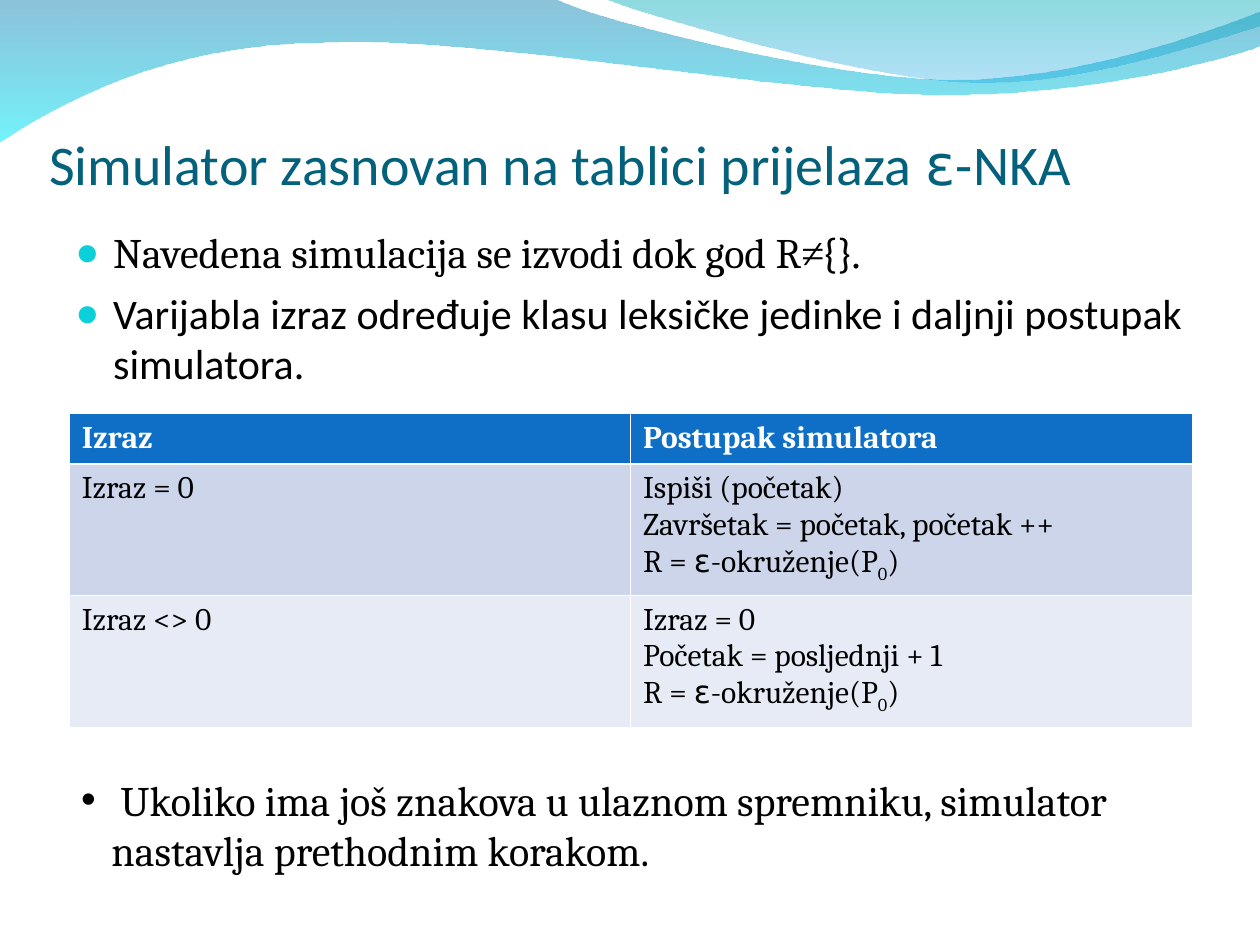
import pptx
import pptx.dml.color
import pptx.enum.text
import pptx.oxml.ns
import pptx.util
from lxml import etree

COLS, ROWS = 100, 75
SERIF, SANS, GREEK, TIMES = "Cambria", "Calibri", "DejaVu Sans", "Times New Roman"
CLOSURE = [("R = ", {}), ("ε", {"font": GREEK}), ("-okruženje(P", {}),
           ("0", {"base": -25}), (")", {})]


def rgb(value):
    """Turn a hex string into a colour."""
    return pptx.dml.color.RGBColor.from_string(value)


def child(parent, tag, **attrs):
    """Append a drawing element with the given attributes."""
    return etree.SubElement(parent, pptx.oxml.ns.qn("a:" + tag),
                            {k: str(v) for k, v in attrs.items()})


def write(p, text, font=SERIF, size=24, color="000000", bold=False, base=0):
    """Add one formatted run to a paragraph."""
    r = p.add_run()
    r.text = text
    r.font.name, r.font.size, r.font.bold = font, pptx.util.Pt(size), bold
    r.font.color.rgb = rgb(color)
    if base:
        r.font._element.set("baseline", str(base * 1000))


def bend(sp, segments):
    """Turn each run of three line points into one cubic curve."""
    lines = iter(list(sp._element.spPr.iter(pptx.oxml.ns.qn("a:lnTo"))))
    for seg in segments:
        first, *others = [next(lines) for _ in seg]
        if others:
            first.tag = pptx.oxml.ns.qn("a:cubicBezTo")
        for line in others:
            first.append(line[0])
            line.getparent().remove(line)


class Deck:
    """Hold the style and the current slide."""

    def __init__(self):
        """Open a deck with one blank slide."""
        self.prs = pptx.Presentation()
        self.prs.slide_width = pptx.util.Inches(10)
        self.prs.slide_height = pptx.util.Inches(7.5)
        self.s = self.prs.slides.add_slide(self.prs.slide_layouts[6])

    def x(self, cols):
        """Convert columns to a length."""
        return round(self.prs.slide_width * cols / COLS)

    def y(self, rows):
        """Convert rows to a length."""
        return round(self.prs.slide_height * rows / ROWS)

    def box(self, col, row, width, height):
        """Convert a grid area to lengths."""
        return self.x(col), self.y(row), self.x(width), self.y(height)

    def wave(self, start, segments, stops):
        """Draw a gradient outline from lines (1 point) and curves (3 points)."""
        points = [start] + [point for seg in segments for point in seg]
        first, *rest = [(self.x(a), self.y(b)) for a, b in points]
        fb = self.s.shapes.build_freeform(*first)
        fb.add_line_segments(rest, close=True)
        sp = fb.convert_to_shape()
        bend(sp, segments)
        sp.shadow.inherit = False
        sp.line.fill.background()
        sp.fill.gradient()
        sp.fill.gradient_angle = 270
        for stop, (color, _) in zip(sp.fill.gradient_stops, stops):
            stop.color.rgb = rgb(color)
        for clr, (_, alpha) in zip(sp._element.spPr.iter(pptx.oxml.ns.qn("a:srgbClr")), stops):
            child(clr, "alpha", val=alpha * 1000)

    def text(self, area, paragraphs, bullet=None, indent=0.0, bullet_color="000000",
             bullet_size=100, before=0, bottom=False, inset=0.1):
        """Add a text box with optional bullets."""
        tf = self.s.shapes.add_textbox(*self.box(*area)).text_frame
        tf.word_wrap = True
        tf.margin_left = tf.margin_right = pptx.util.Inches(inset)
        if bottom:
            tf.vertical_anchor = pptx.enum.text.MSO_ANCHOR.BOTTOM
            tf.margin_bottom = 0
        for i, runs in enumerate(paragraphs):
            p = tf.add_paragraph() if i else tf.paragraphs[0]
            if i:
                p.space_before = pptx.util.Pt(before)
            if bullet:
                pPr = p._p.get_or_add_pPr()
                hang = pptx.util.Inches(indent)
                pPr.set("marL", str(hang))
                pPr.set("indent", str(-hang))
                child(child(pPr, "buClr"), "srgbClr", val=bullet_color)
                child(pPr, "buSzPct", val=bullet_size * 1000)
                child(pPr, "buFont", typeface="Arial")
                child(pPr, "buChar", char=bullet)
            for text, fmt in runs:
                write(p, text, **fmt)

    def cell(self, cell, lines, fill, edges, **fmt):
        """Fill one table cell and rule its edges."""
        for i, runs in enumerate(lines):
            p = cell.text_frame.add_paragraph() if i else cell.text_frame.paragraphs[0]
            for text, extra in runs:
                write(p, text, **{**fmt, **extra})
        tcPr = cell._tc.get_or_add_tcPr()
        for tag, width in zip(("lnL", "lnR", "lnT", "lnB"), edges):
            ln = child(tcPr, tag, w=pptx.util.Pt(width))
            child(child(ln, "solidFill"), "srgbClr", val="FFFFFF")
        cell.fill.solid()
        cell.fill.fore_color.rgb = rgb(fill)

    def table(self, area, heights, rows, fills):
        """Add a table whose first row is the header."""
        thin, thick = 0.45, 1.47
        tb = self.s.shapes.add_table(len(rows), len(rows[0]), *self.box(*area)).table
        for i, (row, height, fill) in enumerate(zip(rows, heights, fills)):
            tb.rows[i].height = self.y(height)
            edges = (thin, thin, thick if i == 1 else thin, thin if i else thick)
            fmt = {"size": 18, "bold": not i, "color": "000000" if i else "FFFFFF"}
            for j, lines in enumerate(row):
                self.cell(tb.cell(i, j), lines, fill, edges, **fmt)


def main():
    """Build the slide."""
    d = Deck()
    d.wave((0, -0.1), [[(44, -0.1)],
                       [(47.6, 1.7), (66.4, 6.3), (75.8, 6.3)],
                       [(85.3, 6.3), (95.8, 2.6), (100, 0.9)],
                       [(100.1, 3.6)],
                       [(98.3, 4.4), (87, 7.6), (74.6, 7.5)],
                       [(62.2, 7.5), (38.2, 2.8), (25.7, 3.4)],
                       [(12.9, 3.5), (4.6, 8.3), (-0.1, 11.3)]],
           [("0079AF", 45), ("00EBF8", 55)])
    d.wave((47.9, -0.1), [[(50.9, 1.1), (68.2, 6.2), (76.9, 6.5)],
                          [(85.6, 6.9), (96.1, 3.2), (100, 2.1)],
                          [(100, 0)]],
           [("00ADB6", 45), ("009BE5", 30)])

    title = {"size": 32, "color": "04617B"}
    d.text((3.9, 3.1, 90, 12.5),
           [[("Simulator zasnovan na tablici prijelaza ", {**title, "font": SANS}),
             ("ε", {**title, "font": GREEK}), ("-NKA", {**title, "font": SANS})]],
           bottom=True, inset=0)
    d.text((5, 17.5, 90, 18.4),
           [[("Navedena simulacija se izvodi dok god R", {}), ("≠", {"font": TIMES}),
             ("{}", {"font": SANS}), (".", {"font": TIMES})],
            [("Varijabla izraz određuje klasu leksičke jedinke i daljnji postupak simulatora.",
              {"font": SANS})]],
           bullet="●", indent=0.3, bullet_color="0BD0D9", bullet_size=95, before=6)
    d.table((5.5, 32.84, 89.1, 24.9), (4, 10.43, 10.43),
            [([[("Izraz", {})]], [[("Postupak simulatora", {})]]),
             ([[("Izraz = 0", {})]],
              [[("Ispiši (početak)", {})], [("Završetak = početak, početak ++", {})], CLOSURE]),
             ([[("Izraz <> 0", {})]],
              [[("Izraz = 0", {})], [("Početak = posljednji + 1", {})], CLOSURE])],
            ("0F6FC6", "CCD5EA", "E7EBF5"))
    d.text((5.46, 60.95, 89.1, 9),
           [[(" Ukoliko ima još znakova u ulaznom spremniku, simulator nastavlja "
              "prethodnim korakom.", {})]],
           bullet="•", indent=0.24)
    d.prs.save("out.pptx")


if __name__ == "__main__":
    main()
